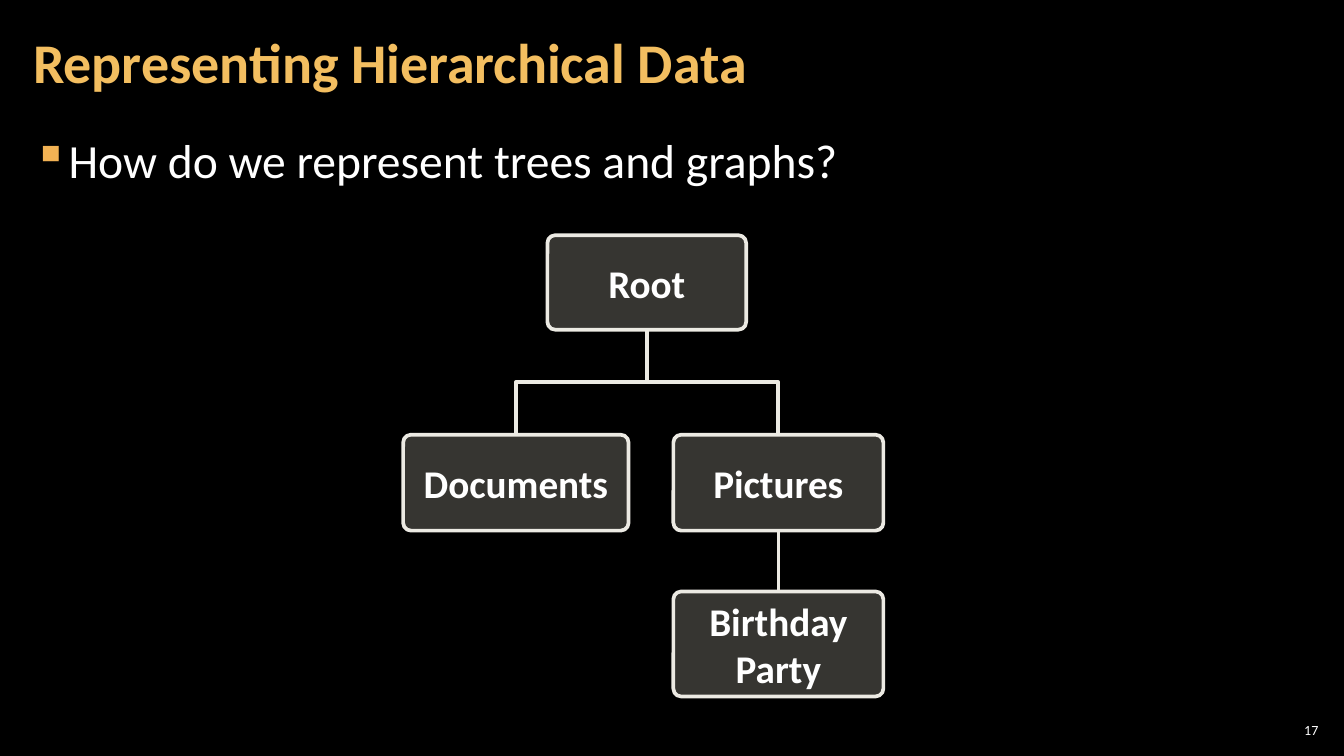
from dataclasses import dataclass

from lxml import etree
from pptx import Presentation
from pptx.dml.color import RGBColor
from pptx.enum.shapes import MSO_CONNECTOR as Connector, MSO_SHAPE as Shape
from pptx.enum.text import MSO_ANCHOR as Anchor, MSO_AUTO_SIZE as AutoSize, PP_ALIGN as Align
from pptx.oxml.ns import qn
from pptx.util import Pt


@dataclass(frozen=True)
class Theme:
    font: str = "Calibri"
    background: RGBColor = RGBColor(0x00, 0x00, 0x00)
    text: RGBColor = RGBColor(0xFF, 0xFF, 0xFF)
    heading: RGBColor = RGBColor(0xF3, 0xBE, 0x60)
    bullet: str = "F2B254"
    node: RGBColor = RGBColor(0xD9, 0xD5, 0xC7)
    node_alpha: int = 25
    edge: RGBColor = RGBColor(0xEC, 0xEA, 0xE3)
    edge_width: float = 2.63
    heading_size: int = 40
    body_size: int = 34
    node_size: int = 28
    number_size: int = 10


THEME = Theme()
NODE_RADIUS = 5.6
# label: left, top, width, height
NODES = {
    "Root": (391, 168, 142, 67.5),
    "Documents": (288, 310.5, 161, 68.5),
    "Pictures": (481, 310.5, 150, 68.5),
    "Birthday Party": (481, 422.5, 150, 75),
}
EDGES = [("Root", "Documents"), ("Root", "Pictures"), ("Pictures", "Birthday Party")]


def apply(target, **values):
    for name, value in values.items():
        setattr(target, name, value)


def points(*lengths):
    return [Pt(length) for length in lengths]


def write(frame, text, size, color, align=Align.LEFT, bold=False, anchor=Anchor.MIDDLE,
          inset=(7.2, 3.6)):
    """Fill a text frame with one formatted paragraph and return it."""
    side, end = points(*inset)
    apply(frame, word_wrap=True, auto_size=AutoSize.NONE, vertical_anchor=anchor,
          margin_left=side, margin_right=side, margin_top=end, margin_bottom=end)
    paragraph = frame.paragraphs[0]
    paragraph.alignment = align
    run = paragraph.add_run()
    run.text = text
    apply(run.font, name=THEME.font, size=Pt(size), bold=bold)
    run.font.color.rgb = color
    return paragraph


def add_bullet(paragraph, indent):
    properties = paragraph._p.get_or_add_pPr()
    properties.set("marL", str(Pt(indent)))
    properties.set("indent", str(Pt(-indent)))
    color = etree.SubElement(properties, qn("a:buClr"))
    etree.SubElement(color, qn("a:srgbClr"), val=THEME.bullet)
    etree.SubElement(properties, qn("a:buChar"), char="▪")


def style_edge(line):
    line.color.rgb = THEME.edge
    line.width = Pt(THEME.edge_width)


def add_heading(slide, text, box):
    title = slide.shapes.title
    apply(title, **dict(zip(("left", "top", "width", "height"), points(*box))))
    paragraph = write(title.text_frame, text, THEME.heading_size, THEME.heading,
                      bold=True, inset=(8.64, 2.88))
    paragraph.line_spacing = 0.9


def add_question(slide, text, box):
    body = slide.shapes.add_textbox(*points(*box))
    paragraph = write(body.text_frame, text, THEME.body_size, THEME.text,
                      anchor=Anchor.TOP, inset=(8.64, 2.88))
    add_bullet(paragraph, 24)
    paragraph.space_after = Pt(6)


def add_page_number(slide, number, box):
    footer = slide.shapes.add_textbox(*points(*box))
    write(footer.text_frame, number, THEME.number_size, THEME.text,
          align=Align.RIGHT, inset=(2.88, 2.88))


def add_node(slide, label, box):
    node = slide.shapes.add_shape(Shape.ROUNDED_RECTANGLE, *points(*box))
    node.shadow.inherit = False
    node.adjustments[0] = NODE_RADIUS / min(box[2:])
    node.fill.solid()
    node.fill.fore_color.rgb = THEME.node
    color = node._element.spPr.find(qn("a:solidFill"))[0]
    etree.SubElement(color, qn("a:alpha"), val=str(THEME.node_alpha * 1000))
    style_edge(node.line)
    write(node.text_frame, label, THEME.node_size, THEME.text, align=Align.CENTER, bold=True)


def add_edge(slide, parent, child):
    """Join the bottom of the parent box to the top of the child box."""
    start_x, start_y = parent[0] + parent[2] / 2, parent[1] + parent[3]
    end_x, end_y = child[0] + child[2] / 2, child[1]
    if start_x == end_x:
        edge = slide.shapes.add_connector(
            Connector.STRAIGHT, *points(start_x, start_y, end_x, end_y))
        etree.SubElement(edge._element.spPr, qn("a:effectLst"))
    else:
        bend_y = (start_y + end_y) / 2
        outline = slide.shapes.build_freeform(*points(start_x, start_y))
        corners = [(start_x, bend_y), (end_x, bend_y), (end_x, end_y)]
        outline.add_line_segments([points(*corner) for corner in corners], close=False)
        edge = outline.convert_to_shape()
        edge.shadow.inherit = False
        edge.fill.background()
    style_edge(edge.line)


def add_tree(slide, nodes, edges):
    for label, box in nodes.items():
        add_node(slide, label, box)
    for parent, child in edges:
        add_edge(slide, nodes[parent], nodes[child])


def main():
    deck = Presentation()
    apply(deck, slide_width=Pt(960), slide_height=Pt(540))
    slide = deck.slides.add_slide(deck.slide_layouts[5])
    slide.background.fill.solid()
    slide.background.fill.fore_color.rgb = THEME.background
    add_page_number(slide, "17", (910.8, 514, 33.8, 15))
    add_question(slide, "How do we represent trees and graphs?", (15, 90.7, 929.5, 438.5))
    add_heading(slide, "Representing Hierarchical Data", (15, 2.9, 753.8, 87))
    add_tree(slide, NODES, EDGES)
    deck.save("out.pptx")


if __name__ == "__main__":
    main()
